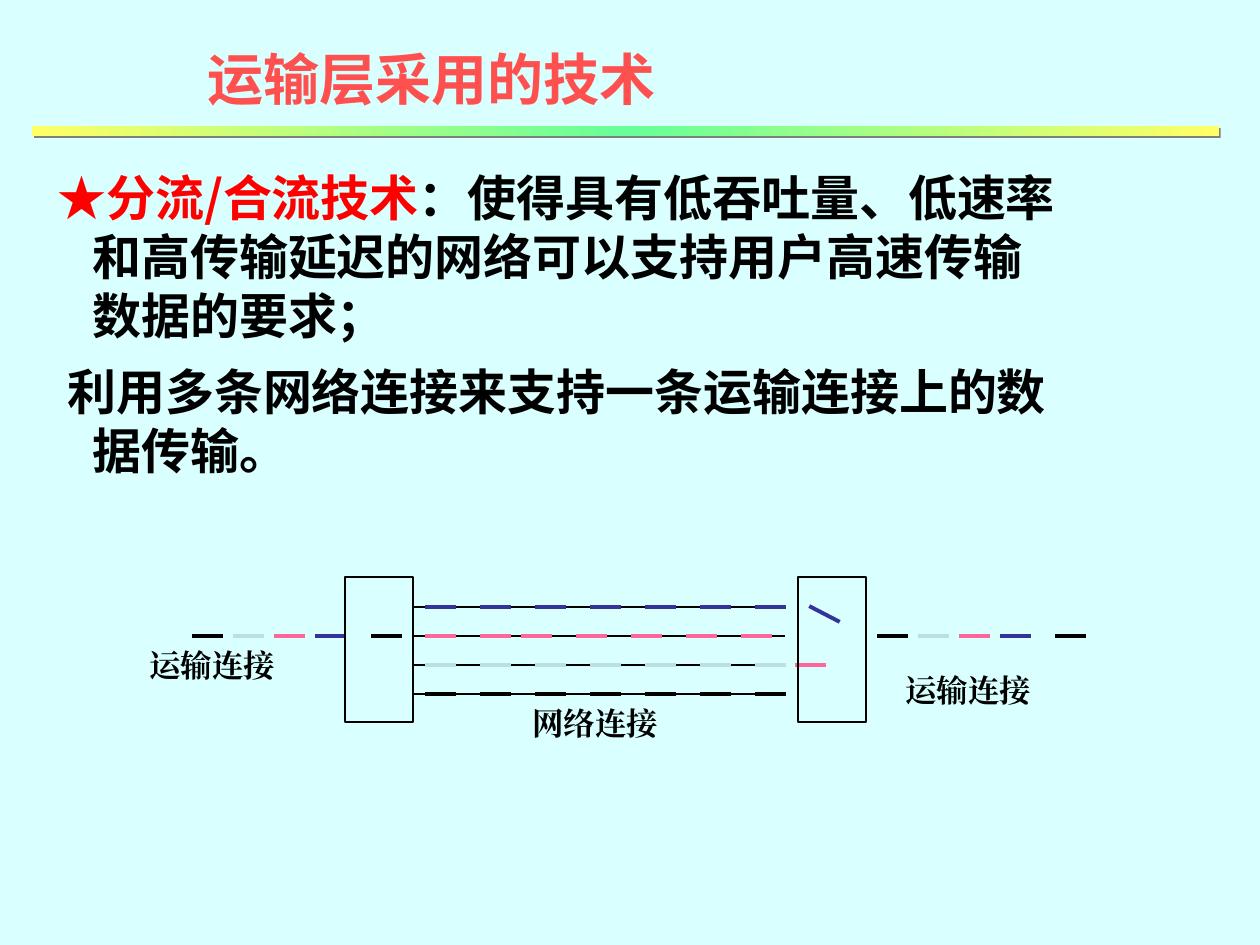
from lxml import etree
from pptx import Presentation
from pptx.dml.color import RGBColor
from pptx.enum.shapes import MSO_CONNECTOR, MSO_SHAPE
from pptx.enum.text import MSO_ANCHOR, PP_ALIGN
from pptx.oxml import parse_xml
from pptx.oxml.ns import qn
from pptx.util import Pt

LINE = MSO_CONNECTOR.STRAIGHT
RECT = MSO_SHAPE.RECTANGLE
TOP = MSO_ANCHOR.TOP
LEFT = PP_ALIGN.LEFT
PX = 914400 // 126
NS = 'xmlns:a="http://schemas.openxmlformats.org/drawingml/2006/main"'
SANS, SERIF, ARIAL = "Noto Sans CJK SC", "Times New Roman", "Arial"
BLACK, BLUE, PINK, PALE, RED = "000000", "333399", "FF6699", "BBE0E3", "FF0000"

TITLE = [[("运输层采用的技术", "FF5050", SANS)]]
BODY = [
    [("★", RED, ARIAL), ("分流/合流技术", RED, SANS),
     ("：使得具有低吞吐量、低速率和高传输延迟的网络可以支持用户高速传输数据的要求；", BLACK, SANS)],
    [("利用多条网络连接来支持一条运输连接上的数据传输。", BLACK, SANS)],
]
LABELS = [("运输连接", 137, 640), ("网络连接", 520, 698), ("运输连接", 893, 665)]
BOXES = [345, 798]
STOPS = [(0, "FFFF66"), (50, "66FF99"), (100, "FFFF66")]

ROW, GAP = 607, 29
DASH, STEP, NEAR = 27, 55, 41
EVEN = [427 + STEP * i for i in range(7)]
SPLIT = EVEN[:2] + [523 + STEP * i for i in range(5)]
LANES = [(BLUE, EVEN), (PINK, SPLIT), (PALE, EVEN), (BLACK, EVEN)]
FLOW = [BLACK, PALE, PINK, BLUE]
ENDS = [(194, 373), (879, 1057)]


def rgb(hex):
    return RGBColor.from_string(hex)


def write(shape, paras, size, lead=None, left=0, dents=(0, 0), gap=0, wrap=False):
    frame = shape.text_frame
    frame.word_wrap = wrap
    frame.vertical_anchor = TOP
    for i, runs in enumerate(paras):
        para = frame.paragraphs[0] if i == 0 else frame.add_paragraph()
        para.alignment = LEFT
        props = para._p.get_or_add_pPr()
        props.set("marL", str(left * PX))
        props.set("indent", str(dents[i] * PX))
        para.space_before = Pt(gap if i else 0)
        if lead:
            para.line_spacing = Pt(lead)
        for text, color, face in runs:
            run = para.add_run()
            run.text = text
            font = run.font
            font.size, font.bold, font.name = Pt(size), True, face
            font.color.rgb = rgb(color)
            east = etree.SubElement(run._r.get_or_add_rPr(), qn("a:ea"))
            east.set("typeface", face)


def area(shapes, x, y, w, h):
    return shapes.add_textbox(x * PX, y * PX, w * PX, h * PX)


def rule(shapes, x, y, x2, y2, color, width=2.25):
    line = shapes.add_connector(LINE, x * PX, y * PX, x2 * PX, y2 * PX)
    line.line.color.rgb = rgb(color)
    line.line.width = Pt(width)
    line.line._get_or_add_ln().set("cap", "sq")
    etree.SubElement(line._element.spPr, qn("a:effectLst"))


def dash(shapes, x, y, color, drop=0):
    rule(shapes, x, y, x + DASH, y + drop, color)


def rect(shapes, x, y, w, h):
    box = shapes.add_shape(RECT, x * PX, y * PX, w * PX, h * PX)
    box.shadow.inherit = False
    return box


def draw(shapes):
    rows = [ROW + GAP * i for i in range(len(LANES))]
    for y in rows:
        rule(shapes, 413, y, 784, y, BLACK, 0.75)
    for y, (color, starts) in zip(rows, LANES):
        for x in starts:
            dash(shapes, x, y, color)
    for start, last in ENDS:
        for i, color in enumerate(FLOW):
            dash(shapes, start + NEAR * i, rows[1], color)
        dash(shapes, last, rows[1], BLACK)
    dash(shapes, 811, rows[0], BLUE, 14)
    dash(shapes, 797, rows[2], PINK)
    for x in BOXES:
        box = rect(shapes, x, 577, 68, 145)
        box.fill.background()
        box.line.color.rgb = rgb(BLACK)
        box.line.width = Pt(0.75)
    for text, x, y in LABELS:
        write(area(shapes, x, y, 151, 50), [[(text, BLACK, SERIF)]], 18)


def band(shapes):
    bar = rect(shapes, 32, 126, 1187, 10)
    bar.line.fill.background()
    stops = "".join(f'<a:gs pos="{at * 1000}"><a:srgbClr val="{color}"/></a:gs>'
                    for at, color in STOPS)
    props = bar._element.spPr
    props.find(qn("a:prstGeom")).addnext(parse_xml(
        f'<a:gradFill {NS}><a:gsLst>{stops}</a:gsLst><a:lin ang="0" scaled="0"/></a:gradFill>'))
    props.find(qn("a:effectLst")).append(parse_xml(
        f'<a:outerShdw {NS} dist="{Pt(1.4)}" dir="2700000"><a:srgbClr val="808080"/></a:outerShdw>'))


def main():
    deck = Presentation()
    deck.slide_width, deck.slide_height = 1260 * PX, 945 * PX
    slide = deck.slides.add_slide(deck.slide_layouts[5])
    fill = slide.background.fill
    fill.solid()
    fill.fore_color.rgb = rgb("D9FFFF")
    shapes = slide.shapes
    head = shapes.title
    head.left, head.top, head.width, head.height = [n * PX for n in (195, 38, 474, 94)]
    write(head, TITLE, 32)
    write(area(shapes, 32, 162, 1050, 390), BODY, 28, lead=33.5,
          left=48, dents=(-35, -25), gap=10, wrap=True)
    draw(shapes.add_group_shape().shapes)
    band(shapes)
    deck.save("out.pptx")


if __name__ == "__main__":
    main()
